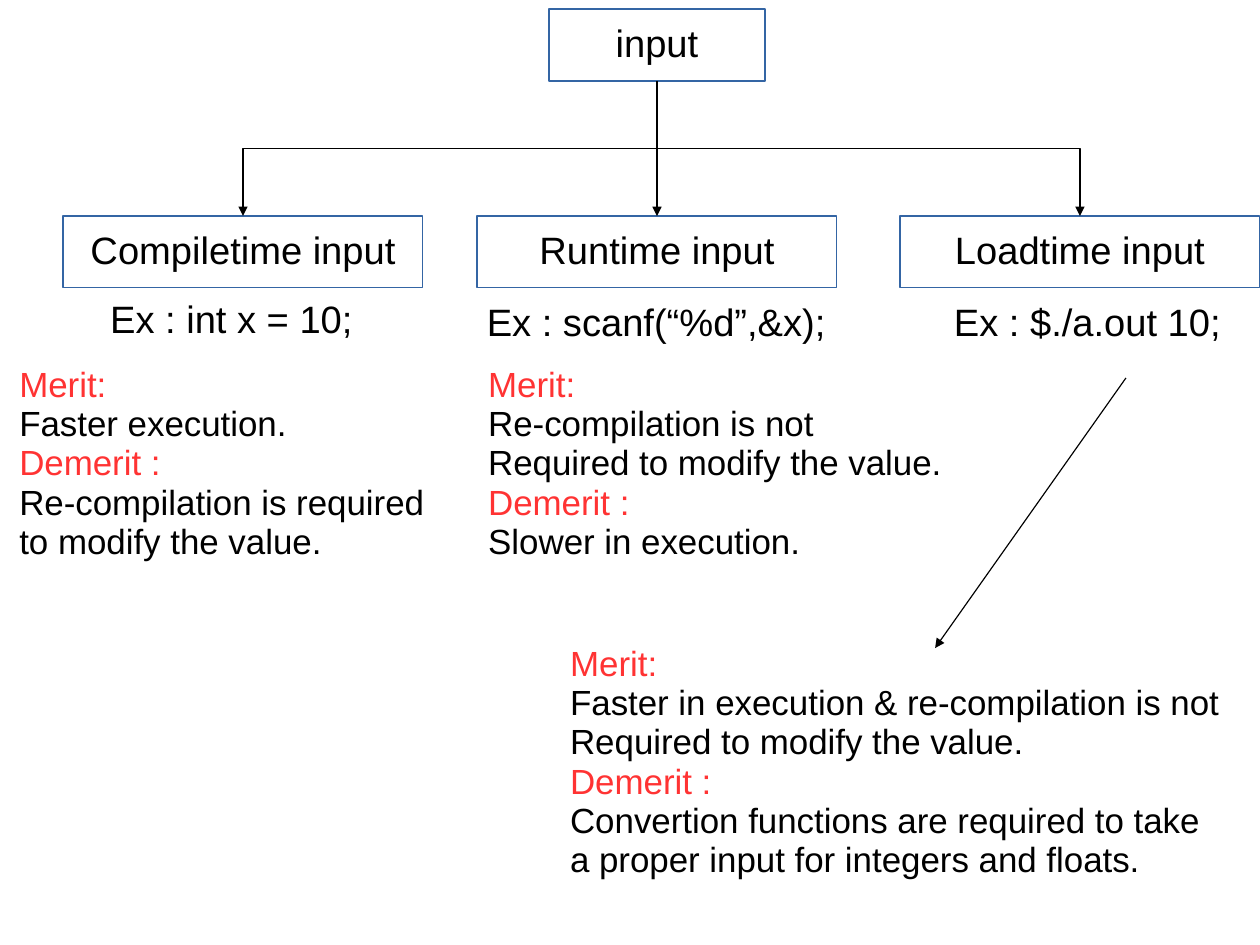
import pptx
import pptx.util
import pptx.dml.color
from dataclasses import dataclass
from pptx.enum.shapes import MSO_CONNECTOR, MSO_SHAPE
from pptx.enum.text import MSO_ANCHOR, MSO_AUTO_SIZE, PP_ALIGN
from pptx.oxml.ns import qn
from lxml import etree

Cm, Pt = pptx.util.Cm, pptx.util.Pt
RGB = pptx.dml.color.RGBColor.from_string


@dataclass(frozen=True)
class Theme:
    font: str = "Arial"
    ink: str = "000000"
    heading: str = "FF3333"
    fill: str = "FFFFFF"
    border: str = "3465A4"
    label_size: int = 24
    note_size: int = 22
    line_width: float = 0.75
    line_spacing: float = 0.94


THEME = Theme()
HEADINGS = ("Merit:", "Demerit :")

ROOT = (12.2, 0.2, 4.8, 1.6)
# Each input kind: name, box, example, example box, notes, notes box (cm).
BRANCHES = [
    ("Compiletime input", (1.4, 4.8, 8, 1.6),
     "Ex : int x = 10;", (2.2, 6.53, 5.9, 1.27),
     ["Merit:", "Faster execution.", "Demerit :",
      "Re-compilation is required", "to modify the value."],
     (0.18, 8, 9.53, 4.67)),
    ("Runtime input", (10.6, 4.8, 8, 1.6),
     "Ex : scanf(“%d”,&x);", (10.57, 6.6, 8.05, 1.27),
     ["Merit:", "Re-compilation is not", "Required to modify the value.",
      "Demerit :", "Slower in execution."],
     (10.6, 8, 10.6, 4.67)),
    ("Loadtime input", (20, 4.8, 8, 1.6),
     "Ex : $./a.out 10;", (20.95, 6.6, 6.45, 1.27),
     ["Merit:", "Faster in execution & re-compilation is not",
      "Required to modify the value.", "Demerit :",
      "Convertion functions are required to take",
      "a proper input for integers and floats."],
     (12.42, 14.2, 15.19, 5.56)),
]


def write(tf, lines, size, align=PP_ALIGN.LEFT, anchor=MSO_ANCHOR.TOP):
    tf.auto_size = MSO_AUTO_SIZE.NONE
    tf.word_wrap = False
    tf.vertical_anchor = anchor
    for i, line in enumerate(lines):
        p = tf.add_paragraph() if i else tf.paragraphs[0]
        p.alignment = align
        p.line_spacing = THEME.line_spacing
        r = p.add_run()
        r.text = line
        r.font.name = THEME.font
        r.font.size = Pt(size)
        color = THEME.heading if line in HEADINGS else THEME.ink
        r.font.color.rgb = RGB(color)


def style_node(sp, label):
    """Give a tree node its white fill, blue border and centred label."""
    sp.fill.solid()
    sp.fill.fore_color.rgb = RGB(THEME.fill)
    sp.line.color.rgb = RGB(THEME.border)
    sp.line.width = Pt(THEME.line_width)
    write(sp.text_frame, [label], THEME.label_size,
          PP_ALIGN.CENTER, MSO_ANCHOR.MIDDLE)


def add_root(s, box, label):
    sp = s.shapes.title
    sp.left, sp.top, sp.width, sp.height = map(Cm, box)
    style_node(sp, label)


def add_node(s, box, label):
    sp = s.shapes.add_shape(MSO_SHAPE.RECTANGLE, *map(Cm, box))
    sp.shadow.inherit = False
    style_node(sp, label)


def add_text(s, box, lines, size):
    write(s.shapes.add_textbox(*map(Cm, box)).text_frame, lines, size)


def add_arrow(s, x1, y1, x2, y2, kind=MSO_CONNECTOR.STRAIGHT):
    cxn = s.shapes.add_connector(kind, Cm(x1), Cm(y1), Cm(x2), Cm(y2))
    cxn.line.color.rgb = RGB(THEME.ink)
    cxn.line.width = Pt(THEME.line_width)
    ln = cxn.line._get_or_add_ln()
    etree.SubElement(ln, qn("a:tailEnd"), type="triangle")
    etree.SubElement(cxn._element.spPr, qn("a:effectLst"))
    return cxn


def add_elbow(s, x1, y1, x2, y2):
    """Draw a down-across-down arrow: an elbow turned by a quarter."""
    cx, cy = (x1 + x2) / 2, (y1 + y2) / 2
    half_w, half_h = (y2 - y1) / 2, abs(x2 - x1) / 2
    side = 1 if x2 < x1 else -1
    cxn = add_arrow(s, cx - side * half_w, cy - half_h,
                    cx + side * half_w, cy + half_h, MSO_CONNECTOR.ELBOW)
    turn = 90 if side > 0 else 270
    cxn._element.spPr.find(qn("a:xfrm")).set("rot", str(turn * 60000))


def add_link(s, parent, child):
    x1, y1 = parent[0] + parent[2] / 2, parent[1] + parent[3]
    x2, y2 = child[0] + child[2] / 2, child[1]
    if abs(x1 - x2) < 0.01:
        add_arrow(s, x1, y2 - 1.6, x2, y2)
    else:
        add_elbow(s, x1, y1, x2, y2)


def add_branch(s, name, box, example, example_box, notes, notes_box):
    add_node(s, box, name)
    add_link(s, ROOT, box)
    add_text(s, example_box, [example], THEME.label_size)
    add_text(s, notes_box, notes, THEME.note_size)


def main():
    prs = pptx.Presentation()
    prs.slide_width, prs.slide_height = Cm(28), Cm(21)
    s = prs.slides.add_slide(prs.slide_layouts[5])
    add_root(s, ROOT, "input")
    for branch in BRANCHES:
        add_branch(s, *branch)
    add_arrow(s, 25.02, 8.4, 20.78, 14.4)
    prs.save("out.pptx")


if __name__ == "__main__":
    main()
